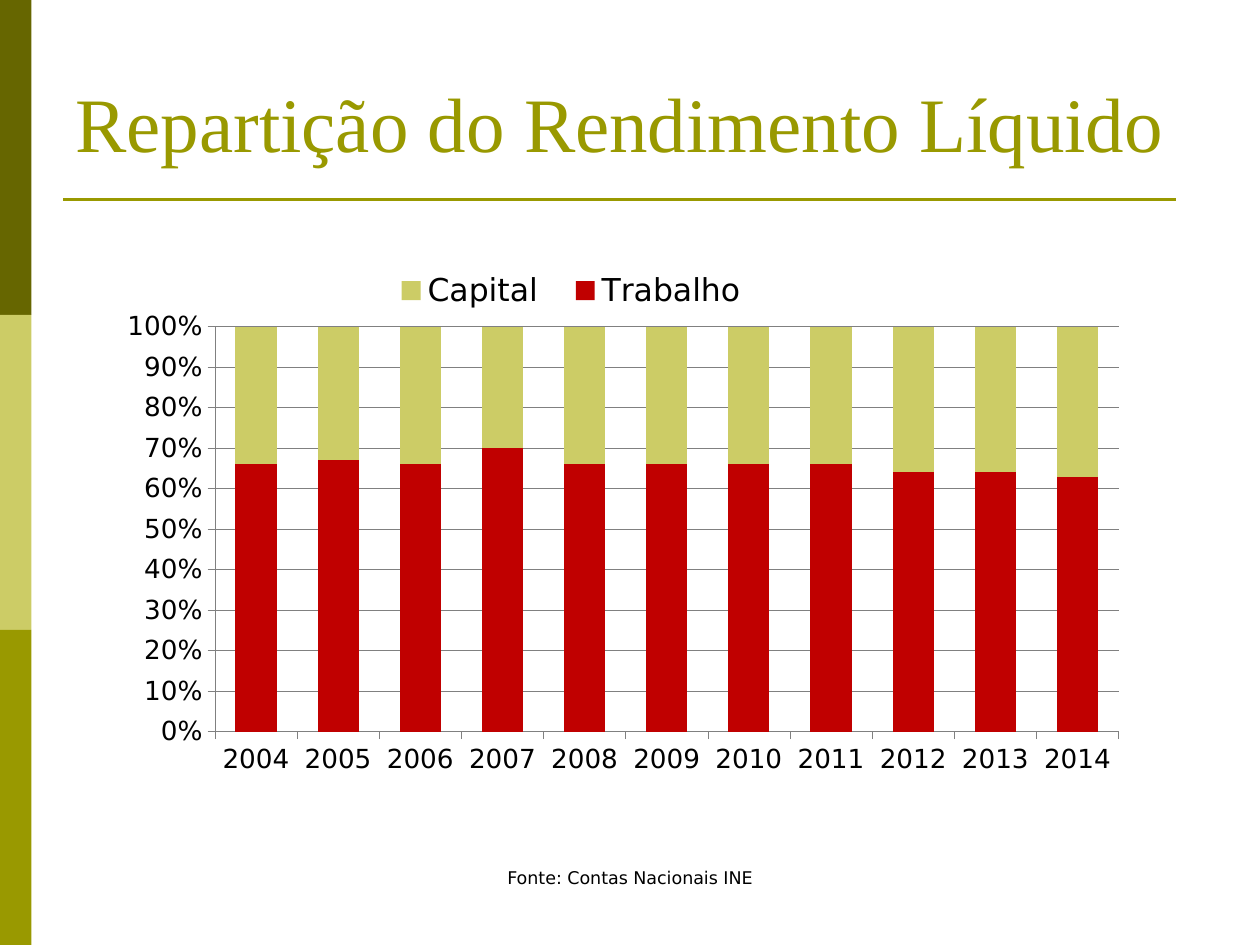
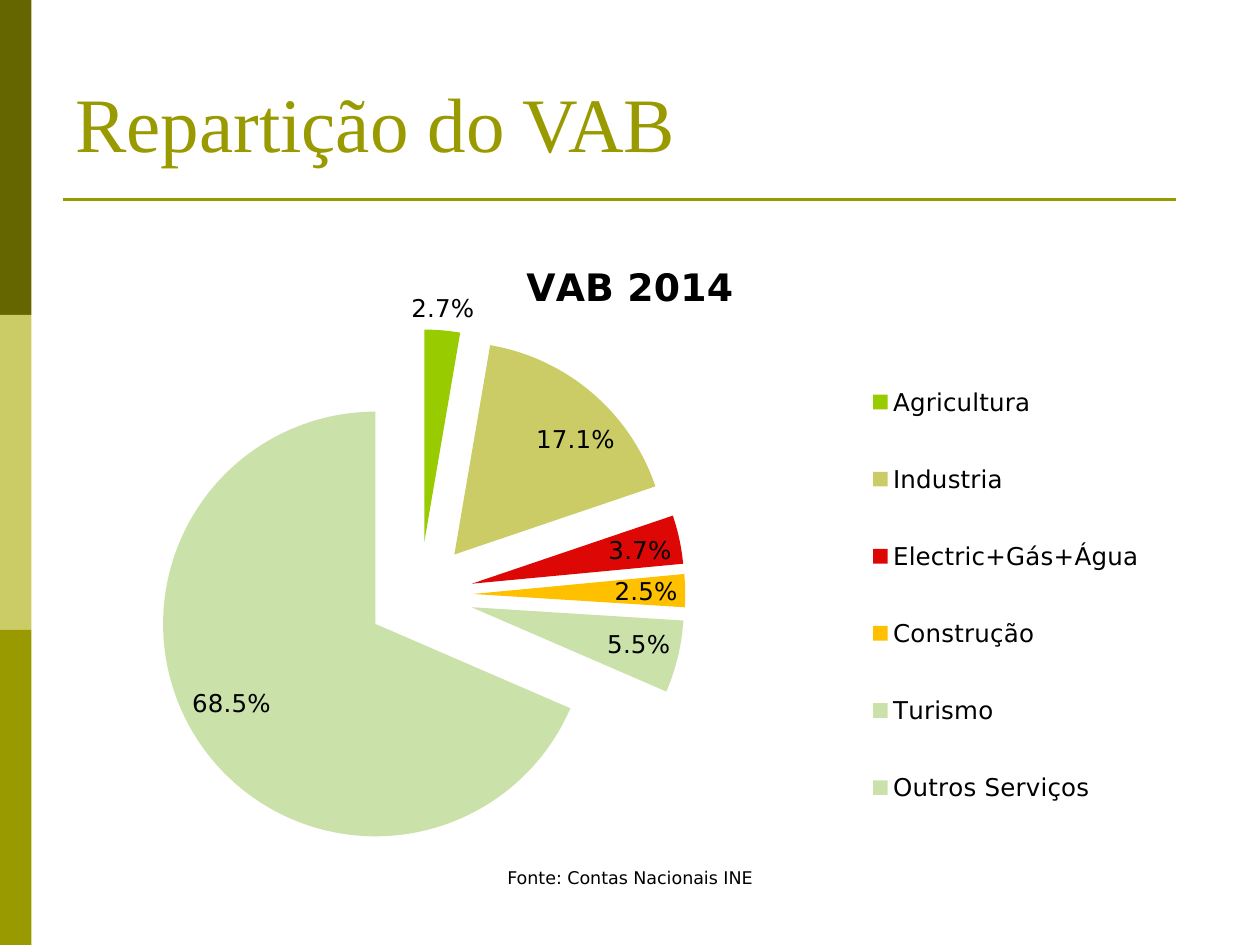
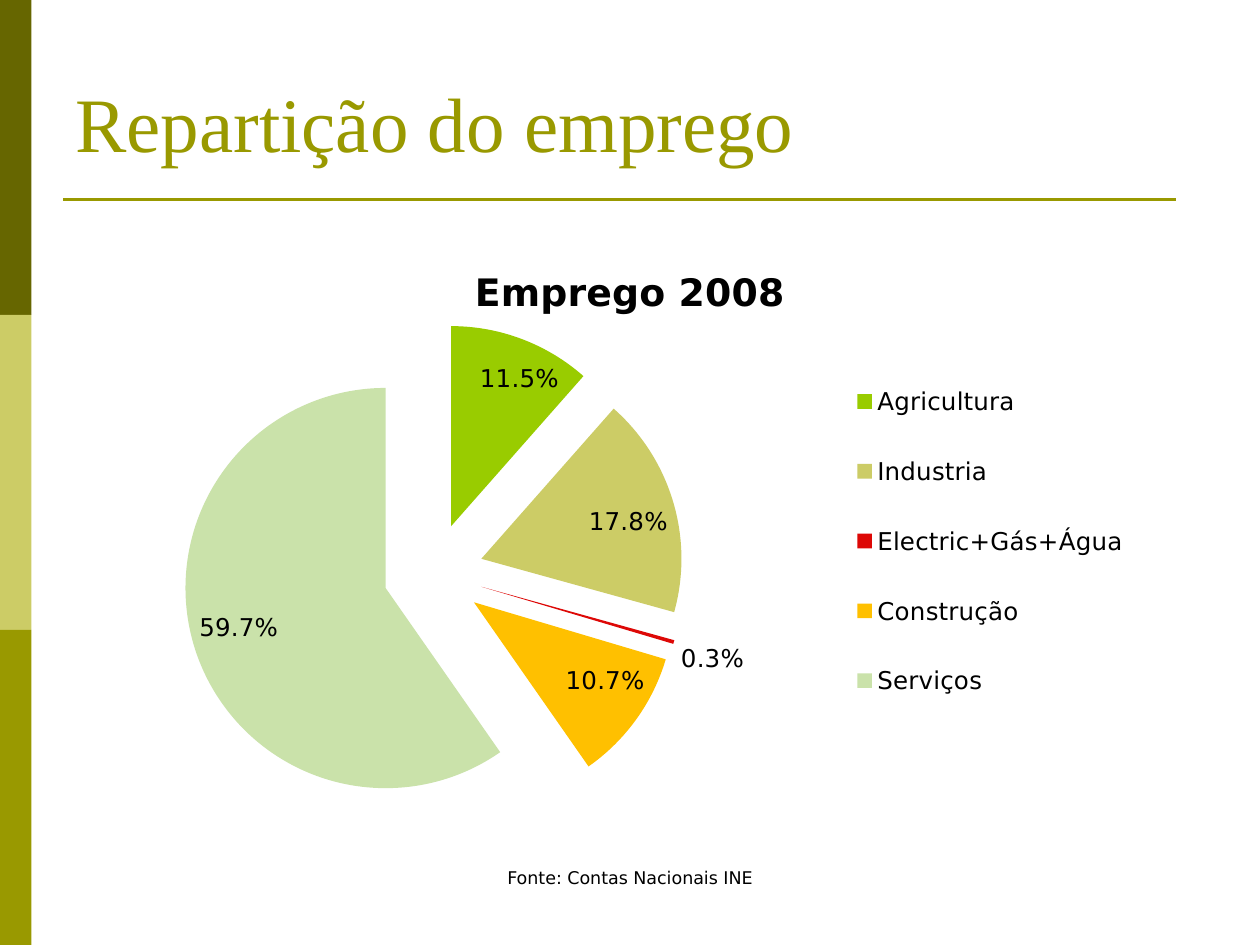
import pptx
import pptx.chart.data
import pptx.dml.color
import pptx.enum.chart
import pptx.enum.shapes
import pptx.enum.text
import pptx.oxml.ns
import pptx.oxml.xmlchemy
import pptx.util

Pt = pptx.util.Pt
qn = pptx.oxml.ns.qn
new_element = pptx.oxml.xmlchemy.OxmlElement

SLIDE_WIDTH, SLIDE_HEIGHT = 720, 540
BODY_FONT, TITLE_FONT = "DejaVu Sans", "Times New Roman"
OLIVE, DARK_OLIVE, LIGHT_OLIVE = "999900", "666600", "CCCC66"
RED, GREY, BLACK = "C00000", "808080", "000000"
SLICE_COLOURS = ["99CC00", LIGHT_OLIVE, "DD0806", "FFC000", "CAE2AA", "CAE2AA"]

# Boxes are left, top, width, height
BAND_BOX = (0, 0, 18, SLIDE_HEIGHT)
TITLE_BOX = (36, 9.5, 648, 90)
SOURCE_BOX = (246, 492, 228, 36)
RULE_LEFT, RULE_RIGHT, RULE_TOP = 36, 672, 114

SECTORS = ["Agricultura", "Industria", "Electric+Gás+Água", "Construção"]


def rgb(colour):
    return pptx.dml.color.RGBColor.from_string(colour)


def points(box):
    return [Pt(length) for length in box]


def style_font(font, name, size, colour):
    font.name, font.size = name, Pt(size)
    font.color.rgb = rgb(colour)


def add_text(slide, box, text, font_name, size, colour, anchor, alignment):
    frame = slide.shapes.add_textbox(*points(box)).text_frame
    frame.word_wrap = True
    frame.vertical_anchor = anchor
    paragraph = frame.paragraphs[0]
    paragraph.text = text
    paragraph.alignment = alignment
    style_font(paragraph.font, font_name, size, colour)


def add_side_band(slide, box):
    left, top, width, height = box
    colours = [DARK_OLIVE, LIGHT_OLIVE, OLIVE]
    part_height = height / len(colours)
    for index, colour in enumerate(colours):
        part_box = (left, top + index * part_height, width, part_height)
        shape = slide.shapes.add_shape(
            pptx.enum.shapes.MSO_SHAPE.RECTANGLE, *points(part_box))
        shape.shadow.inherit = False
        shape.fill.solid()
        shape.fill.fore_color.rgb = rgb(colour)
        shape.line.fill.background()


def add_title_rule(slide):
    rule = slide.shapes.add_connector(
        pptx.enum.shapes.MSO_CONNECTOR.STRAIGHT,
        *points((RULE_LEFT, RULE_TOP, RULE_RIGHT, RULE_TOP)))
    rule.line.color.rgb = rgb(OLIVE)
    rule.line.width = Pt(1.5)
    rule._element.spPr.append(new_element("a:effectLst"))


def add_framed_slide(presentation, title):
    """Add a slide with the band, title, rule and source line."""
    slide = presentation.slides.add_slide(presentation.slide_layouts[6])
    add_side_band(slide, BAND_BOX)
    add_title_rule(slide)
    add_text(slide, TITLE_BOX, title, TITLE_FONT, 44, OLIVE,
             pptx.enum.text.MSO_ANCHOR.BOTTOM, pptx.enum.text.PP_ALIGN.LEFT)
    add_text(slide, SOURCE_BOX, "Fonte: Contas Nacionais INE", BODY_FONT, 10,
             BLACK, pptx.enum.text.MSO_ANCHOR.TOP,
             pptx.enum.text.PP_ALIGN.CENTER)
    return slide


def set_layout(element, index, fractions, inner=False):
    """Place a chart part by fractions of the chart's size."""
    for old_layout in element.findall(qn("c:layout")):
        element.remove(old_layout)
    layout = new_element("c:layout")
    manual = new_element("c:manualLayout")
    layout.append(manual)
    settings = [("layoutTarget", "inner")] if inner else []
    settings += [("xMode", "edge"), ("yMode", "edge")]
    settings += zip("xywh", fractions)
    for name, value in settings:
        setting = new_element("c:" + name)
        setting.set("val", str(value))
        manual.append(setting)
    element.insert(index, layout)


def add_chart(slide, box, chart_type, categories, series, plot_area,
              legend_area, legend_size):
    data = pptx.chart.data.CategoryChartData()
    data.categories = categories
    for name, values in series:
        data.add_series(name, values)
    chart = slide.shapes.add_chart(chart_type, *points(box), data).chart
    style_font(chart.font, BODY_FONT, 18, BLACK)
    chart.has_title = False
    set_layout(chart._chartSpace.chart.plotArea, 0, plot_area, inner=True)
    chart.has_legend = True
    chart.legend.position = pptx.enum.chart.XL_LEGEND_POSITION.RIGHT
    chart.legend.include_in_layout = False
    style_font(chart.legend.font, BODY_FONT, legend_size, BLACK)
    set_layout(chart.legend._element, 1, legend_area)
    return chart


def style_line(line):
    line.color.rgb = rgb(GREY)
    line.width = Pt(0.25)


def add_income_chart(slide, box):
    labour = [66, 67, 66, 70, 66, 66, 66, 66, 64, 64, 63]
    capital = [100 - share for share in labour]
    chart = add_chart(
        slide, box, pptx.enum.chart.XL_CHART_TYPE.COLUMN_STACKED_100,
        [str(year) for year in range(2004, 2015)],
        [("Trabalho", labour), ("Capital", capital)],
        (0.11, 0.13, 0.85, 0.73), (0.26, 0.02, 0.37, 0.09), 18)
    plot = chart.plots[0]
    plot.gap_width, plot.overlap = 100, 100
    plot.vary_by_categories = False
    for series, colour in zip(plot.series, [RED, LIGHT_OLIVE]):
        series.format.fill.solid()
        series.format.fill.fore_color.rgb = rgb(colour)
    # Axes
    for axis in (chart.category_axis, chart.value_axis):
        axis.major_tick_mark = pptx.enum.chart.XL_TICK_MARK.OUTSIDE
        style_font(axis.tick_labels.font, BODY_FONT, 15, BLACK)
        style_line(axis.format.line)
    chart.value_axis.has_major_gridlines = True
    style_line(chart.value_axis.major_gridlines.format.line)
    chart.value_axis.tick_labels.number_format = "0%"
    chart.value_axis.tick_labels.number_format_is_linked = False


def add_sector_pie(slide, box, title, sectors, values, plot_area, legend_area):
    chart = add_chart(slide, box, pptx.enum.chart.XL_CHART_TYPE.PIE, sectors,
                      [(title, values)], plot_area, legend_area, 14)
    # Title
    chart.has_title = True
    chart.chart_title.text_frame.text = title
    title_font = chart.chart_title.text_frame.paragraphs[0].font
    style_font(title_font, BODY_FONT, 21.6, BLACK)
    title_font.bold = True
    # Slices
    plot = chart.plots[0]
    plot.vary_by_categories = True
    series = plot.series[0]
    explosion = new_element("c:explosion")
    explosion.set("val", "25")
    series._element.insert_element_before(
        explosion, "c:dPt", "c:dLbls", "c:cat", "c:val")
    for index, colour in enumerate(SLICE_COLOURS[:len(sectors)]):
        fill = series.points[index].format.fill
        fill.solid()
        fill.fore_color.rgb = rgb(colour)
    # Labels
    labels = series.data_labels
    labels.show_percentage, labels.show_value = True, False
    labels.number_format = "0.0%"
    labels.number_format_is_linked = False
    labels.position = pptx.enum.chart.XL_LABEL_POSITION.BEST_FIT
    style_font(labels.font, BODY_FONT, 14, BLACK)


def main():
    presentation = pptx.Presentation()
    presentation.slide_width = Pt(SLIDE_WIDTH)
    presentation.slide_height = Pt(SLIDE_HEIGHT)

    slide = add_framed_slide(presentation, "Repartição do Rendimento Líquido")
    add_income_chart(slide, (56, 145.5, 607.5, 317))

    slide = add_framed_slide(presentation, "Repartição do VAB")
    add_sector_pie(slide, (44, 134, 632, 374.5), "VAB 2014",
                   SECTORS + ["Turismo", "Outros Serviços"],
                   [2.7, 17.1, 3.7, 2.5, 5.5, 68.5],
                   (0.07, 0.1, 0.48, 0.9), (0.7, 0.16, 0.28, 0.78))

    slide = add_framed_slide(presentation, "Repartição do emprego")
    add_sector_pie(slide, (48, 138, 624, 332.5), "Emprego 2008",
                   SECTORS + ["Serviços"],
                   [11.5, 17.8, 0.3, 10.7, 59.7],
                   (0.09, 0.14, 0.46, 0.86), (0.69, 0.18, 0.28, 0.67))

    presentation.save("out.pptx")


if __name__ == "__main__":
    main()
